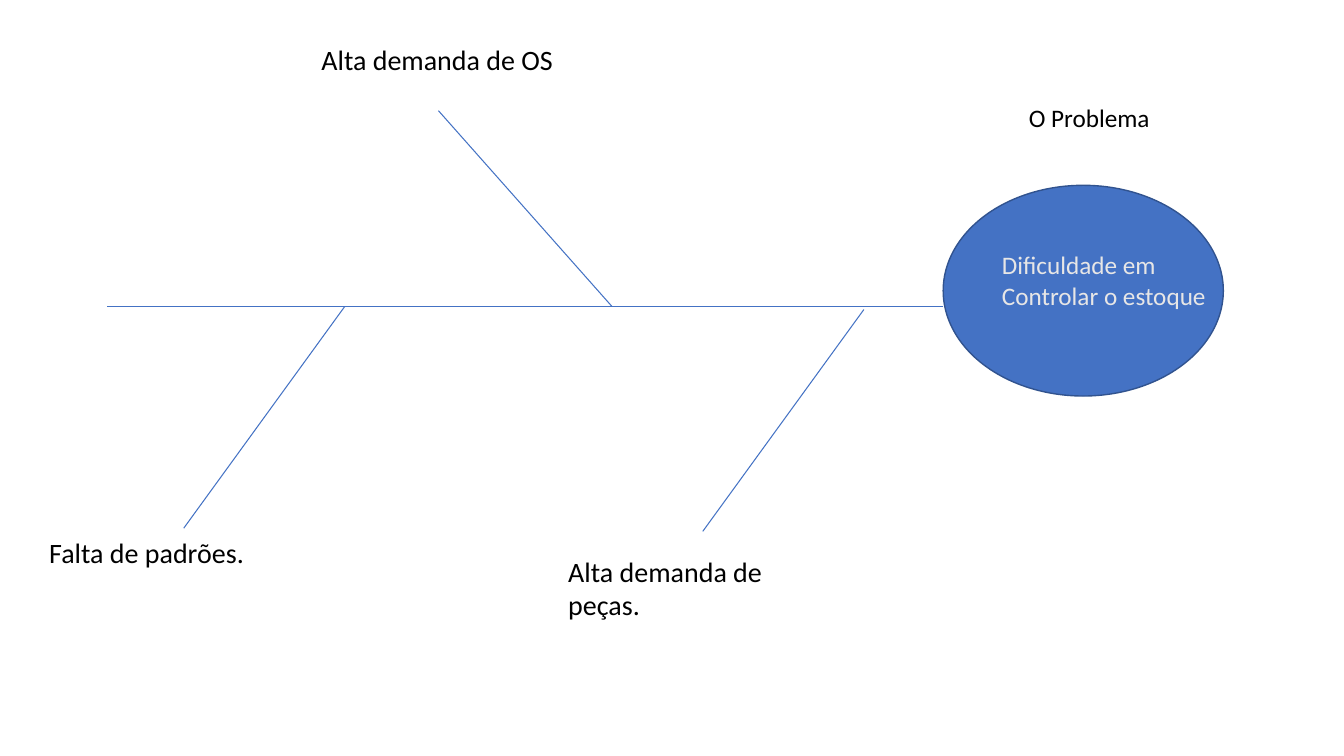
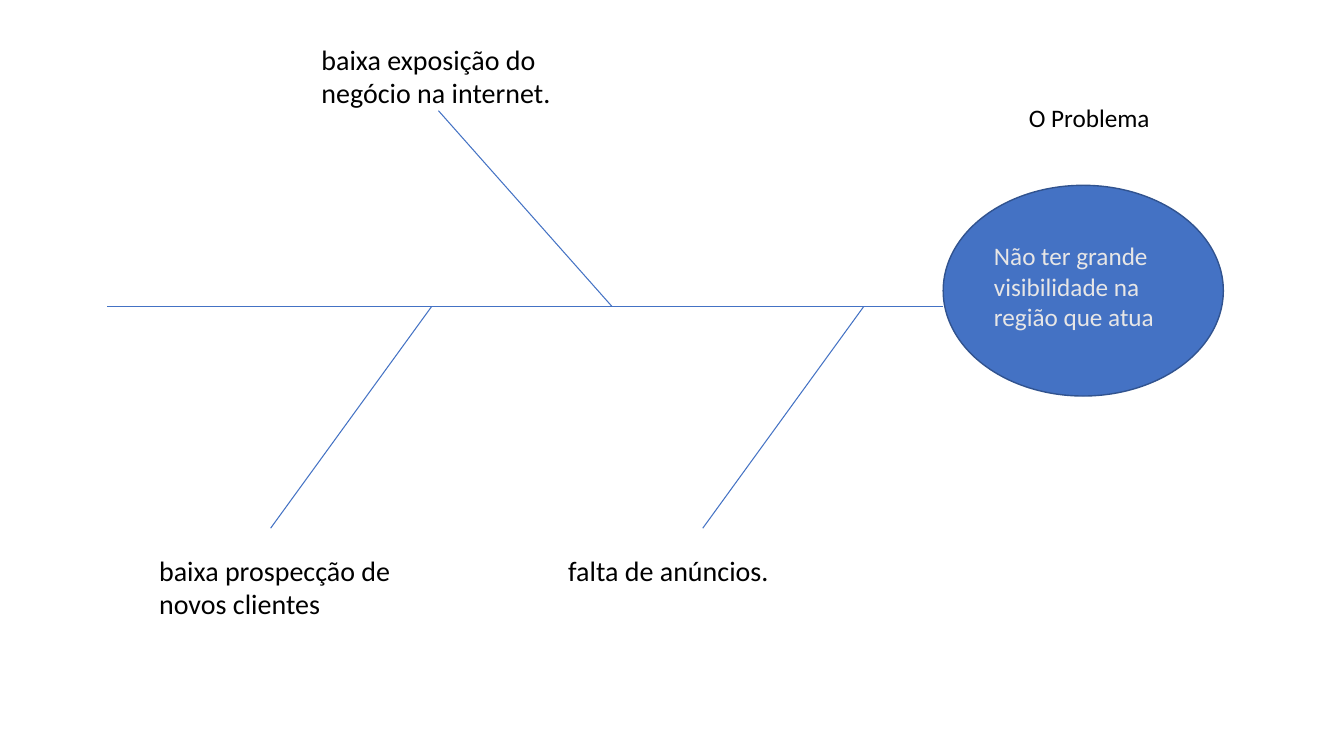
from dataclasses import dataclass

from lxml import etree
from pptx import Presentation, util as u
from pptx.dml.color import RGBColor
from pptx.enum import shapes
from pptx.oxml.ns import qn
from pptx.slide import Slide

COLORS = {"blue": "4472C4", "outline": "31538F", "pale": "E7E6E6", "ink": "000000"}
FONT = "Calibri"
SPINE_Y, SPINE_TAIL, SPINE_HEAD = 7.72, 2.69, 23.77
LOWER_RUN, LOWER_DROP = 4.06, 5.59
LOWER_LABEL = (7.25, 2.83)


@dataclass(frozen=True)
class Label:
    """A block of text; lengths in centimetres, size in points."""
    left: float
    top: float
    width: float
    height: float
    lines: tuple[str, ...]
    size: int = 20
    color: str = "ink"


@dataclass(frozen=True)
class Bone:
    """A cause line from its joint near the spine to its outer tip."""
    x: float
    y: float = SPINE_Y
    run: float = LOWER_RUN
    rise: float = LOWER_DROP


@dataclass(frozen=True)
class Fishbone:
    """What differs between the diagrams."""
    problem: Label
    upper_cause: str
    lower_bones: tuple[Bone, ...]
    lower_causes: tuple[Label, ...]


HEADING = Label(25.68, 2.46, 3.6, 1.02, ("O Problema",), 18)
UPPER_BONE = Bone(15.42, run=4.37, rise=-4.93)

DIAGRAMS = (
    Fishbone(
        Label(25, 6.17, 5.84, 1.8, ("Dificuldade em", "Controlar o estoque"), 18, "pale"),
        "Alta demanda de OS",
        (Bone(21.77, 7.8), Bone(8.69)),
        (Label(14.07, 13.84, *LOWER_LABEL, ("Alta demanda de peças.",)),
         Label(0.99, 13.36, *LOWER_LABEL, ("Falta de padrões.",))),
    ),
    Fishbone(
        Label(24.8, 5.94, 5.84, 1.8,
              ("Não ter grande visibilidade na região que atua",), 18, "pale"),
        "baixa exposição do negócio na internet.",
        (Bone(21.77), Bone(10.88)),
        (Label(14.07, 13.82, *LOWER_LABEL, ("falta de anúncios.",)),
         Label(3.76, 13.82, *LOWER_LABEL, ("baixa prospecção de novos clientes",))),
    ),
)


def rgb(name: str) -> RGBColor:
    """Look up a palette colour."""
    return RGBColor.from_string(COLORS[name])


def add_label(page: Slide, label: Label) -> None:
    """Write a wrapped text box, one paragraph per line."""
    box = page.shapes.add_textbox(
        u.Cm(label.left), u.Cm(label.top), u.Cm(label.width), u.Cm(label.height))
    frame = box.text_frame
    frame.word_wrap = True
    frame.text = "\n".join(label.lines)
    for para in frame.paragraphs:
        para.font.name = FONT
        para.font.size = u.Pt(label.size)
        para.font.color.rgb = rgb(label.color)


def add_line(page: Slide, x1: float, y1: float, x2: float, y2: float) -> None:
    """Draw a thin blue line without a shadow."""
    line = page.shapes.add_connector(
        shapes.MSO_CONNECTOR.STRAIGHT, u.Cm(x1), u.Cm(y1), u.Cm(x2), u.Cm(y2))
    line.line.color.rgb = rgb("blue")
    line.line.width = u.Pt(0.75)
    etree.SubElement(line._element.spPr, qn("a:effectLst"))


def add_head(page: Slide) -> None:
    """Draw the ellipse that holds the problem."""
    head = page.shapes.add_shape(
        shapes.MSO_SHAPE.OVAL, u.Cm(SPINE_HEAD), u.Cm(4.67), u.Cm(7.06), u.Cm(5.31))
    head.shadow.inherit = False
    head.fill.solid()
    head.fill.fore_color.rgb = rgb("blue")
    head.line.color.rgb = rgb("outline")
    head.line.width = u.Pt(1)


def add_fishbone(page: Slide, diagram: Fishbone) -> None:
    """Draw a whole cause-and-effect diagram."""
    add_head(page)
    add_line(page, SPINE_HEAD, SPINE_Y, SPINE_TAIL, SPINE_Y)
    for bone in (UPPER_BONE, *diagram.lower_bones):
        add_line(page, bone.x, bone.y, bone.x - bone.run, bone.y + bone.rise)
    upper_label = Label(7.85, 0.94, 6.4, 1.96, (diagram.upper_cause,))
    for label in (HEADING, diagram.problem, upper_label, *diagram.lower_causes):
        add_label(page, label)


def main() -> None:
    """Build and save the deck."""
    deck = Presentation()
    deck.slide_width, deck.slide_height = u.Cm(33.87), u.Cm(19.05)
    blank = deck.slide_layouts[6]
    for diagram in DIAGRAMS:
        add_fishbone(deck.slides.add_slide(blank), diagram)
    deck.save("out.pptx")


main()
